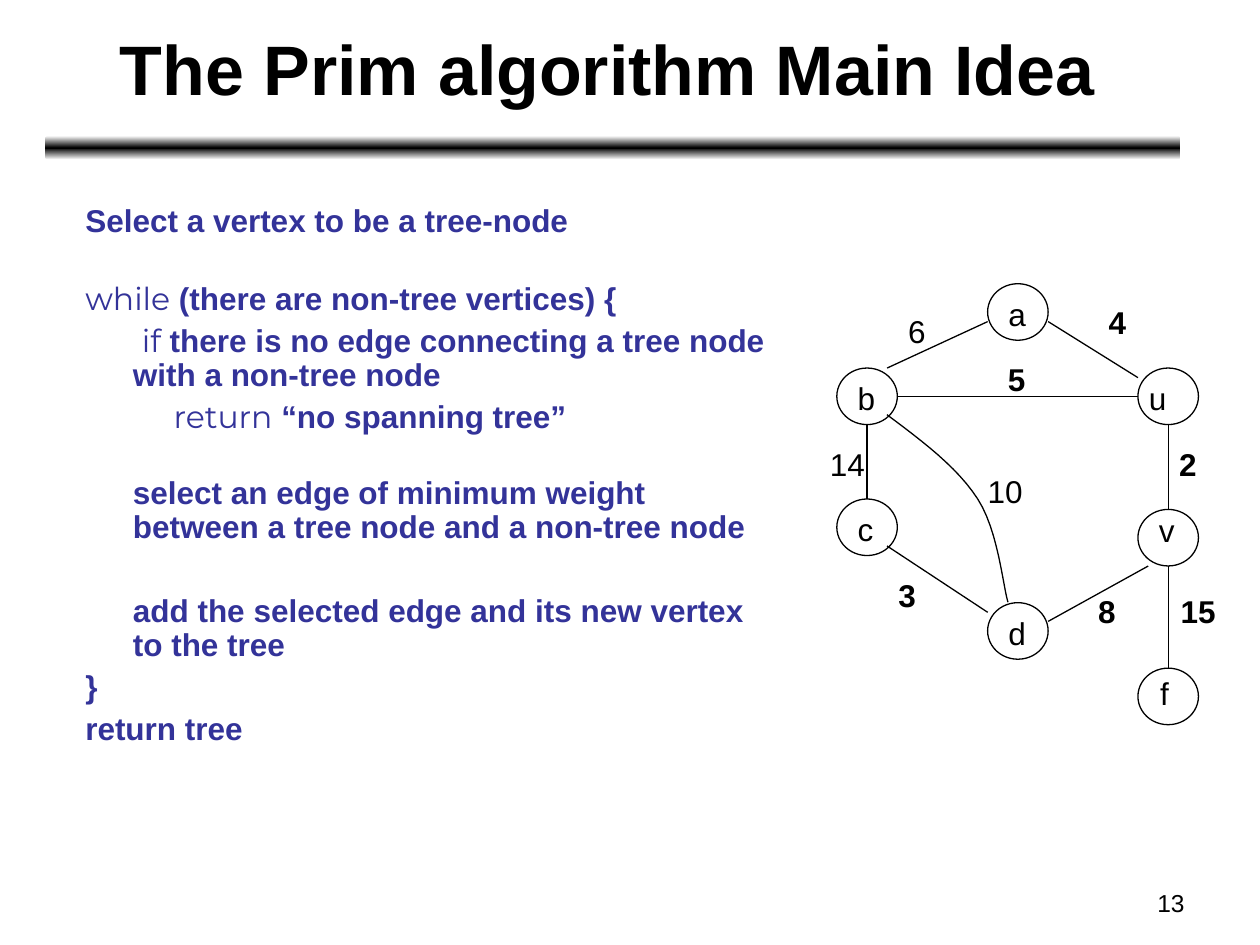
from copy import deepcopy

from pptx import Presentation
from pptx.dml.color import RGBColor
from pptx.enum.shapes import MSO_CONNECTOR, MSO_SHAPE
from pptx.enum.text import MSO_ANCHOR, PP_ALIGN
from pptx.oxml.ns import qn
from pptx.util import Cm, Pt

BLACK, WHITE, INDIGO = "000000", "FFFFFF", "333399"
NODE_W, NODE_H = 1.22, 1.14
HANG = 0.96

# node: (left, top, label shift x, label shift y)
NODES = {
    "a": (3.04, 0, 0.17, 0.1),
    "b": (0, 1.7, 0.17, 0.1),
    "c": (0, 4.34, 0.17, 0.1),
    "d": (3.04, 6.43, 0.17, 0.1),
    "u": (6.07, 1.7, -0.03, 0.1),
    "v": (6.07, 4.55, 0.17, -0.1),
    "f": (6.07, 7.75, 0.2, 0),
}
EDGES = [
    ("b", (0.5, 1), "c", (0.5, 0)),
    ("b", (0.83, 0), "a", (0, 0.67)),
    ("c", (0.83, 0.83), "d", (0, 0.17)),
    ("d", (1, 0.33), "v", (0.17, 1)),
    ("a", (1, 0.67), "u", (0, 0.17)),
    ("u", (0.5, 1), "v", (0.5, 0)),
    ("b", (1, 0.5), "u", (0, 0.5)),
    ("v", (0.5, 1), "f", (0.5, 0)),
]
CURVE_B_D = [
    [(1.01, 2.64), (1.72, 3.17), (2.43, 3.7), (2.84, 4.34)],
    [(2.84, 4.34), (3.25, 4.97), (3.35, 6.09), (3.45, 6.42)],
]
WEIGHTS = [
    ("6", 1.19, 0.45, False),
    ("4", 5.23, 0.27, True),
    ("5", 3.2, 1.42, True),
    ("2", 6.65, 3.12, True),
    ("15", 6.68, 6.09, True),
    ("8", 5.02, 6.09, True),
    ("10", 2.79, 3.68, False),
    ("14", -0.39, 3.12, False),
    ("3", 0.99, 5.76, True),
]
PSEUDOCODE = [
    (-HANG, 0, "", "Select a vertex to be a tree-node"),
    (-HANG, 25.5, "while", " (there are non-tree vertices) {"),
    (0.18, 4.5, "if", " there is no edge connecting a tree node with a non-tree node"),
    (0.82, 4.5, "return", " “no spanning tree”"),
    (0, 24, "", "select an edge of minimum weight between a tree node and a non-tree node"),
    (0, 28.5, "", "add the selected edge and its new vertex to the tree"),
    (-HANG, 4.5, "", "}"),
    (-HANG, 4.5, "", "return tree"),
]


def color(hex_code):
    """Return the colour for a hex string."""
    return RGBColor.from_string(hex_code)


def set_font(font, size, bold=False, hex_code=BLACK, name="Arial"):
    """Set the look of a font."""
    font.name, font.size, font.bold = name, Pt(size), bold
    font.color.rgb = color(hex_code)


def add_text(slide, box, text, size, bold=False, align=PP_ALIGN.LEFT, wrap=True):
    """Add a one-paragraph text box and return its frame."""
    frame = slide.shapes.add_textbox(*map(Cm, box)).text_frame
    frame.word_wrap = wrap
    frame.text = text
    paragraph = frame.paragraphs[0]
    paragraph.alignment = align
    set_font(paragraph.runs[0].font, size, bold)
    return frame


def outline(shape):
    """Give a shape a thin black outline only."""
    shape.shadow.inherit = False
    shape.fill.background()
    shape.line.color.rgb = color(BLACK)
    shape.line.width = Pt(0.75)


def add_title(slide, box):
    """Place the slide title."""
    title = add_text(slide, box, "The Prim algorithm Main Idea", 40, True, PP_ALIGN.CENTER)
    title.vertical_anchor = MSO_ANCHOR.MIDDLE


def add_divider(slide, box):
    """Place the bar that fades from black to white at both edges."""
    bar = slide.shapes.add_shape(MSO_SHAPE.ROUNDED_RECTANGLE, *map(Cm, box))
    bar.shadow.inherit = False
    bar.line.fill.background()
    bar.fill.gradient()
    bar.fill.gradient_angle = 90
    stop_list = bar.fill.gradient_stops[0]._gs.getparent()
    stop_list.append(deepcopy(stop_list[-1]))
    for stop, position, shade in zip(bar.fill.gradient_stops, (0, 0.5, 1), (WHITE, BLACK, WHITE)):
        stop.position = position
        stop.color.rgb = color(shade)


def add_pseudocode(slide, box):
    """Place the steps of the algorithm."""
    frame = slide.shapes.add_textbox(*map(Cm, box)).text_frame
    frame.word_wrap = True
    for number, (indent, gap, keyword, rest) in enumerate(PSEUDOCODE):
        step = frame.add_paragraph() if number else frame.paragraphs[0]
        properties = step._p.get_or_add_pPr()
        properties.set("marL", str(Cm(HANG)))
        properties.set("indent", str(Cm(indent)))
        step.line_spacing = 0.9
        if gap:
            step.space_before = Pt(gap)
        for words, bold, name in ((keyword, False, "Montserrat"), (rest, True, "Arial")):
            if words:
                run = step.add_run()
                run.text = words
                set_font(run.font, 18, bold, INDIGO, name)


def bezier(points, t):
    """Return the point at t on a cubic curve."""
    factors = ((1 - t) ** 3, 3 * t * (1 - t) ** 2, 3 * t * t * (1 - t), t ** 3)
    return tuple(sum(f * p[axis] for f, p in zip(factors, points)) for axis in (0, 1))


def add_graph(slide, left, top):
    """Place the weighted graph with its top left corner at the given point."""
    def anchor(node, fraction):
        """Return the point at a fraction of a node's box."""
        x, y = NODES[node][:2]
        return Cm(left + x + fraction[0] * NODE_W), Cm(top + y + fraction[1] * NODE_H)

    for x, y, _, _ in NODES.values():
        outline(slide.shapes.add_shape(
            MSO_SHAPE.OVAL, Cm(left + x), Cm(top + y), Cm(NODE_W), Cm(NODE_H)))

    for start, start_at, end, end_at in EDGES:
        edge = slide.shapes.add_connector(
            MSO_CONNECTOR.STRAIGHT, *anchor(start, start_at), *anchor(end, end_at))
        edge.line.color.rgb = color(BLACK)
        edge.line.width = Pt(0.75)
        properties = edge._element.spPr
        properties.append(properties.makeelement(qn("a:effectLst"), {}))

    curve = [bezier(part, step / 12) for part in CURVE_B_D for step in range(13)]
    curve = [(Cm(left + x), Cm(top + y)) for x, y in curve]
    builder = slide.shapes.build_freeform(*curve[0])
    builder.add_line_segments(curve[1:], close=False)
    outline(builder.convert_to_shape())

    labels = [(name, x + dx, y + dy, False) for name, (x, y, dx, dy) in NODES.items()]
    for text, x, y, bold in WEIGHTS + labels:
        width = 0.51 + 0.35 * len(text)
        add_text(slide, (left + x, top + y, width, 1.02), text, 18, bold, wrap=False)


def main():
    """Build the slide and save it."""
    deck = Presentation()
    deck.slide_width, deck.slide_height = Cm(25.4), Cm(19.05)
    slide = deck.slides.add_slide(deck.slide_layouts[6])
    add_divider(slide, (0.91, 2.74, 22.89, 0.48))
    add_text(slide, (18.21, 17.78, 5.92, 0.89), "13", 14, align=PP_ALIGN.RIGHT)
    add_title(slide, (1.45, 0, 21.59, 2.74))
    add_pseudocode(slide, (1.47, 4.01, 14.4, 12.7))
    add_graph(slide, 16.87, 5.72)
    deck.save("out.pptx")


if __name__ == "__main__":
    main()
